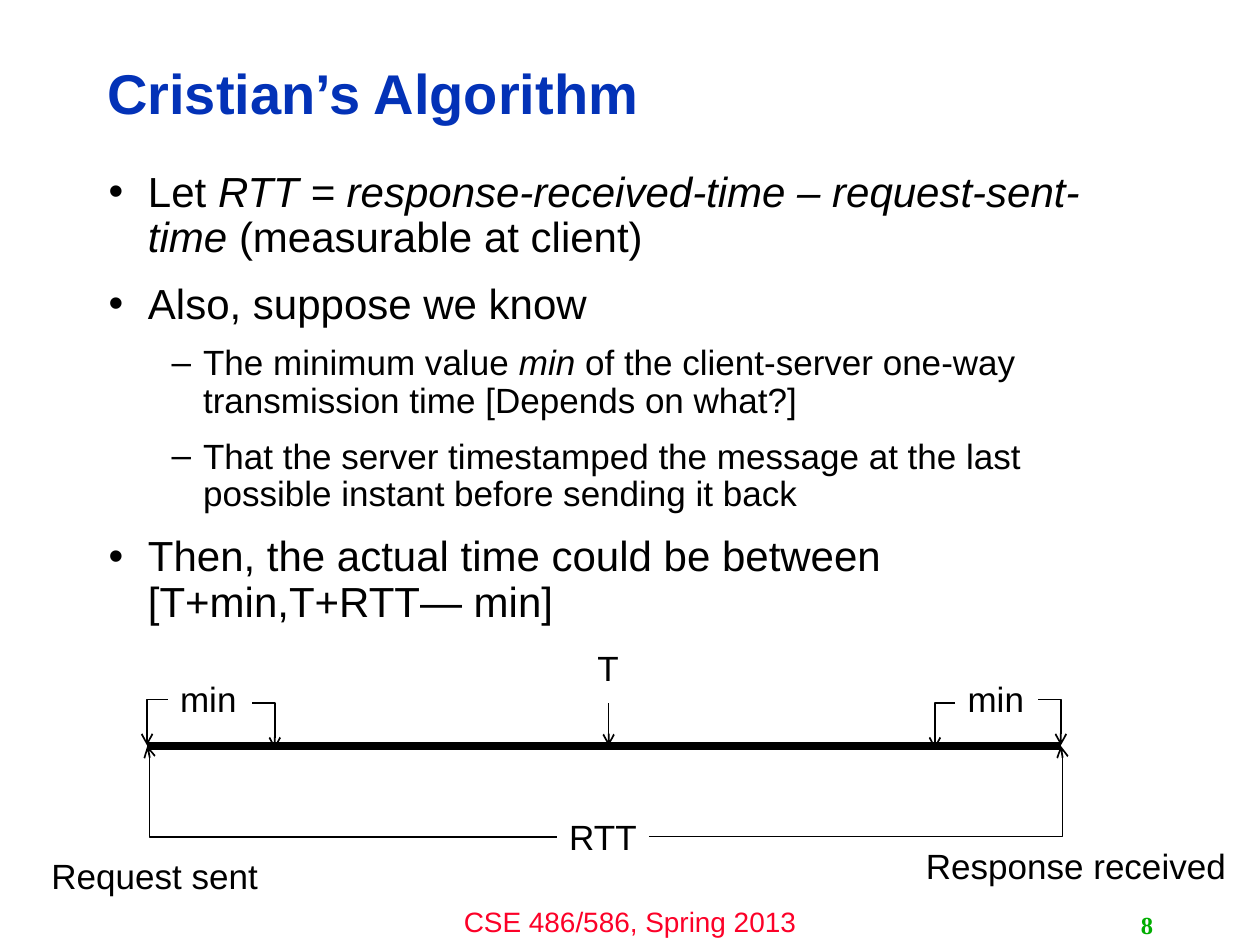
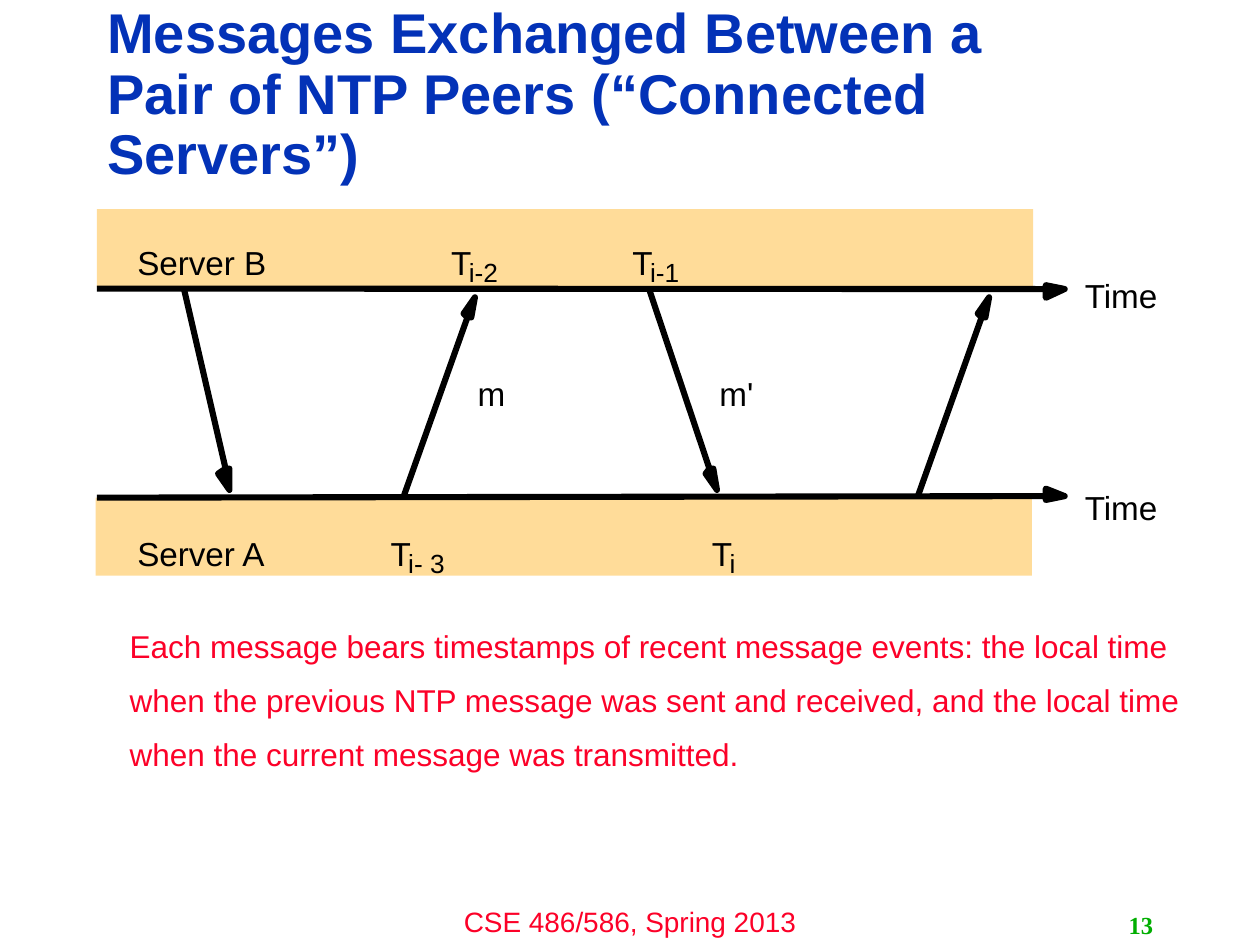
from lxml import etree
from pptx import Presentation
from pptx.dml.color import RGBColor
from pptx.enum import shapes, text
from pptx.oxml import ns
from pptx.util import Pt

BLACK = RGBColor(0, 0, 0)
BLUE = RGBColor(0x03, 0x32, 0xB7)
RED = RGBColor(0xFC, 0x01, 0x28)
GREEN = RGBColor(0x00, 0xAE, 0x00)
SAND = RGBColor(0xFF, 0xDC, 0x99)

FOOTER = "CSE 486/586, Spring 2013"

BULLETS = [
    (0, "Let _RTT = response-received-time – request-sent-time _(measurable at client)"),
    (0, "Also, suppose we know"),
    (1, "The minimum value _min _of the client-server one-way transmission time [Depends on what?]"),
    (1, "That the server timestamped the message at the last possible instant before sending it back"),
    (0, "Then, the actual time could be between [T+min,T+RTT— min]"),
]
LEVELS = [
    {"size": 24, "bullet": "•", "margin": 22.5, "hang": 22.5},
    {"size": 20, "bullet": "–", "margin": 54, "hang": 18},
]

TIMELINE_LABELS = [
    ("Request sent", 22.3, 484.6, 140),
    ("Response received", 522, 478.8, 195),
    ("RTT", 318.2, 462.2, 60),
    ("min", 545.8, 383.8, 54),
    ("min", 95.8, 383.8, 54),
]
MIN_ARROWS = [
    ((545.8, 401.8), (534.2, 428)),
    ((593.3, 399.8), (606.2, 426)),
    ((95.8, 399.8), (84, 426)),
    ((144, 401.8), (157, 428)),
]
RTT_ARROWS = [
    ((318.2, 478.1), (84.2, 426.2), 99500),
    ((370.8, 478.1), (606.2, 426.2), 100400),
]

UP_HEAD = [(-2.2, -2.2), (4.3, -11.5), (2.2, 0)]
DOWN_HEAD = [(2.2, 0), (4.3, 12.2), (-2.2, 2.9)]
STEEP_HEAD = [(2.2, 0), (2.2, 12.2), (-4.3, 2.9)]
MESSAGES = [
    ((524.2, 284.4), (560.9, 181.4), UP_HEAD),
    ((370.8, 164.9), (405.4, 267.8), DOWN_HEAD),
    ((230.4, 284.4), (267.1, 181.4), UP_HEAD),
    ((105.1, 164.9), (128.9, 267.8), STEEP_HEAD),
]
AXES = [
    ((55.4, 164.9), (597.6, 165.2), [(0, -2.2), (10.8, 0), (0, 5)]),
    ((55.4, 284.4), (597.6, 283.5), [(0, -4.3), (10.8, 0), (0, 2.2)]),
]
BANDS = [(54.7, 284.4), (55.4, 119.5)]
ROW_B, ROW_A, ROW_MESSAGE = 138.2, 304.6, 213.1
PEER_LABELS = [
    ("Server B", 78.5, ROW_B, 80),
    ("Server A", 78.5, ROW_A, 80),
    ("Time", 619.9, 157, 50),
    ("Time", 619.9, 278.6, 50),
    ("m", 272.9, ROW_MESSAGE, 24),
    ("m'", 411.1, ROW_MESSAGE, 24),
]
TIMESTAMPS = [
    ("i", 406.8, ROW_A),
    ("i-1", 361.4, ROW_B),
    ("i-2", 257.8, ROW_B),
    ("i- 3", 223.2, ROW_A),
]
EXPLANATION = [
    "Each message bears timestamps of recent message events: the local time",
    "when the previous NTP message was sent and received, and the local time",
    "when the current message was transmitted.",
]


def add_text(slide, content, left, top, width, height, size=20, color=BLACK, font="Arial",
             bold=False, align=None, middle=False, inset=True, spacing=None, gap=0.5):
    box = slide.shapes.add_textbox(Pt(left), Pt(top), Pt(width), Pt(height))
    frame = box.text_frame
    frame.word_wrap = True
    frame.vertical_anchor = text.MSO_ANCHOR.MIDDLE if middle else text.MSO_ANCHOR.TOP
    if not inset:
        frame.margin_left = frame.margin_right = frame.margin_top = frame.margin_bottom = 0
    lines = [content] if isinstance(content, str) else content
    for index, line in enumerate(lines):
        level, words = line if isinstance(line, tuple) else (None, line)
        style = {"size": size} if level is None else LEVELS[level]
        paragraph = frame.add_paragraph() if index else frame.paragraphs[0]
        paragraph.alignment = align
        paragraph.line_spacing = spacing
        paragraph.space_before = Pt(gap * style["size"] if index else 0)
        if level is not None:
            paragraph.level = level
            properties = paragraph._p.get_or_add_pPr()
            properties.set("marL", str(Pt(style["margin"])))
            properties.set("indent", str(-Pt(style["hang"])))
            etree.SubElement(properties, ns.qn("a:buFont")).set("typeface", font)
            etree.SubElement(properties, ns.qn("a:buChar")).set("char", style["bullet"])
        for part, piece in enumerate(words.split("_")):
            run = paragraph.add_run()
            run.text = piece
            run.font.name = font
            run.font.size = Pt(style["size"])
            run.font.bold = bold
            run.font.italic = part % 2 == 1
            run.font.color.rgb = color


def add_line(slide, start, end, width=1, arrow=False, preset=None, adjust=None):
    kind = shapes.MSO_CONNECTOR.ELBOW if preset else shapes.MSO_CONNECTOR.STRAIGHT
    line = slide.shapes.add_connector(kind, *[Pt(value) for value in start + end])
    line.line.color.rgb = BLACK
    line.line.width = Pt(width)
    properties = line._element.spPr
    if arrow:
        etree.SubElement(line.line._get_or_add_ln(), ns.qn("a:tailEnd")).set("type", "arrow")
    etree.SubElement(properties, ns.qn("a:effectLst"))
    if preset:
        geometry = properties.find(ns.qn("a:prstGeom"))
        geometry.set("prst", preset)
        if adjust:
            guide = etree.SubElement(geometry.find(ns.qn("a:avLst")), ns.qn("a:gd"))
            guide.set("name", "adj1")
            guide.set("fmla", f"val {adjust}")
        if end[0] < start[0]:
            transform = properties.find(ns.qn("a:xfrm"))
            flipped = transform.get("flipV") == "1"
            transform.set("flipH", "0")
            transform.set("flipV", "0" if flipped else "1")
            transform.set("rot", "10800000")


def add_head(slide, base, offsets):
    builder = slide.shapes.build_freeform(Pt(base[0]), Pt(base[1]))
    builder.add_line_segments([(Pt(base[0] + x), Pt(base[1] + y)) for x, y in offsets], close=True)
    head = builder.convert_to_shape()
    head.shadow.inherit = False
    head.fill.solid()
    head.fill.fore_color.rgb = BLACK
    head.line.color.rgb = BLACK
    head.line.width = Pt(3.5)


def add_thick_arrow(slide, start, end, head):
    add_head(slide, end, head)
    add_line(slide, start, end, width=3.5)


def add_slide(presentation, title, number):
    slide = presentation.slides.add_slide(presentation.slide_layouts[6])
    add_text(slide, FOOTER, 240, 513.4, 240, 26.6, size=16, color=RED,
             align=text.PP_ALIGN.CENTER)
    add_text(slide, title, 54.2, 25.7, 574.6, 58.3, size=32, color=BLUE, bold=True,
             middle=True, spacing=0.9)
    add_text(slide, number, 516.2, 517, 149.8, 23, size=14, color=GREEN, bold=True,
             font="Times New Roman", align=text.PP_ALIGN.RIGHT, middle=True)
    return slide


def build_algorithm(presentation):
    slide = add_slide(presentation, "Cristian’s Algorithm", "8")
    add_text(slide, BULLETS, 55, 94.3, 604.8, 388, spacing=0.9)
    add_line(slide, (84.2, 426.2), (606.2, 426.2), width=4.5)
    for label, left, top, width in TIMELINE_LABELS:
        add_text(slide, label, left, top, width, 31.7)
    add_text(slide, "T", 320.4, 365.8, 54, 31.7, align=text.PP_ALIGN.CENTER)
    for start, end in MIN_ARROWS:
        add_line(slide, start, end, arrow=True, preset="bentConnector2")
    for start, end, adjust in RTT_ARROWS:
        add_line(slide, start, end, arrow=True, preset="bentConnector3", adjust=adjust)
    add_line(slide, (347.8, 401.8), (347.8, 426.2), arrow=True)


def build_peers(presentation):
    title = "Messages Exchanged Between a Pair of NTP Peers (“Connected Servers”)"
    slide = add_slide(presentation, title, "13")
    for start, end, head in MESSAGES:
        add_thick_arrow(slide, start, end, head)
    for left, top in BANDS:
        band = slide.shapes.add_shape(shapes.MSO_SHAPE.RECTANGLE, Pt(left), Pt(top), Pt(535), Pt(44.6))
        band.shadow.inherit = False
        band.fill.solid()
        band.fill.fore_color.rgb = SAND
        band.line.fill.background()
    for start, end, head in AXES:
        add_thick_arrow(slide, start, end, head)
    for label, left, top, width in PEER_LABELS:
        add_text(slide, label, left, top, width, 23, size=19, inset=False)
    for subscript, left, top in TIMESTAMPS:
        add_text(slide, "T", left, top, 16, 23, size=19, inset=False)
        add_text(slide, subscript, left + 10.1, top + 8.3, 36, 18, size=15, inset=False)
    add_text(slide, EXPLANATION, 67, 355, 640, 90, size=18, color=RED)


presentation = Presentation()
presentation.slide_width = Pt(720)
presentation.slide_height = Pt(540)
build_algorithm(presentation)
build_peers(presentation)
presentation.save("out.pptx")
